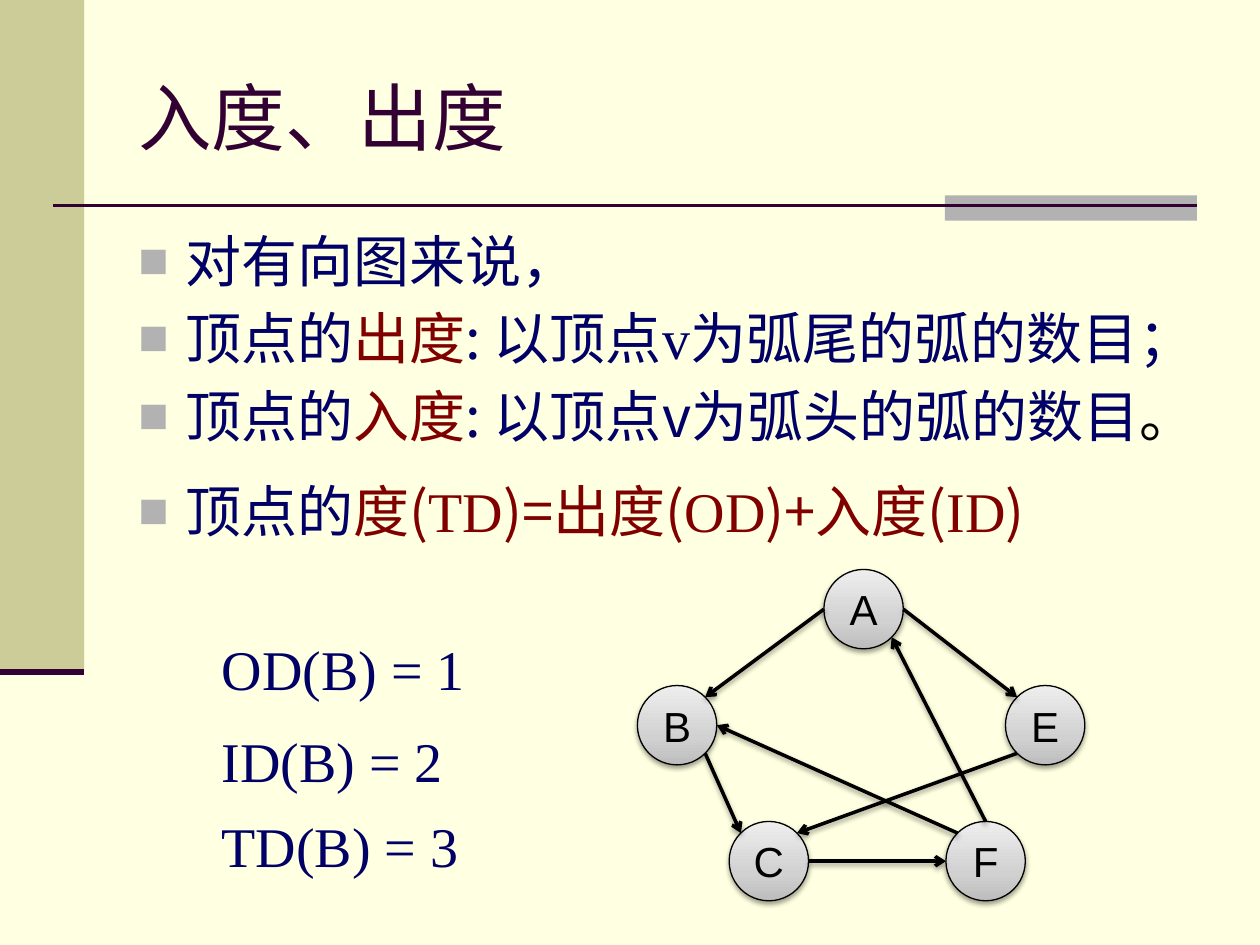
from math import cos, radians, sin

from lxml import etree
from pptx import Presentation
from pptx.dml.color import RGBColor
from pptx.enum.shapes import MSO_CONNECTOR, MSO_SHAPE
from pptx.enum.text import MSO_ANCHOR, MSO_AUTO_SIZE, PP_ALIGN
from pptx.oxml.ns import qn
from pptx.util import Cm, Pt

RECT, OVAL = MSO_SHAPE.RECTANGLE, MSO_SHAPE.OVAL
STRAIGHT = MSO_CONNECTOR.STRAIGHT
MIDDLE, CENTER = MSO_ANCHOR.MIDDLE, PP_ALIGN.CENTER
FIT_SHAPE = MSO_AUTO_SIZE.SHAPE_TO_FIT_TEXT

CJK, SERIF, SANS = "Noto Sans CJK SC", "Times New Roman", "Arial"
NAVY, RED, PLUM, BLACK = "000066", "800000", "330033", "000000"
GREY = "B2B2B2"

# Each bullet: line height in points, then runs of text, colour, font
BULLETS = [
    (38, [("对有向图来说，", NAVY, CJK)]),
    (38, [("顶点的", NAVY, CJK), ("出度", RED, CJK), (": 以顶点", NAVY, CJK),
          ("v", NAVY, SERIF), ("为弧尾的弧的数目；", NAVY, CJK)]),
    (38, [("顶点的", NAVY, CJK), ("入度", RED, CJK),
          (": 以顶点v为弧头的弧的数目", NAVY, CJK), ("。", BLACK, CJK)]),
    (48, [("顶点的", NAVY, CJK), ("度(", RED, CJK), ("TD", RED, SERIF),
          (")=出度(", RED, CJK), ("OD", RED, SERIF), (")+入度(", RED, CJK),
          ("ID", RED, SERIF), (")", RED, CJK)]),
]
DEGREES = [("OD(B) = 1", 0), ("ID(B) = 2", 1.85), ("TD(B) = 3", 3.56)]

# Graph: node offsets in cm; arcs leave and arrive at clockwise angles
DIAMETER = 1.6
NODES = {"A": (3.76, 0), "B": (0, 2.34), "C": (1.85, 5.08),
         "E": (7.42, 2.34), "F": (6.22, 5.08)}
ARCS = [("A", 180, "B", 315), ("A", 0, "E", 225), ("B", 45, "C", 225),
        ("F", 270, "A", 45), ("E", 135, "C", 315), ("F", 225, "B", 0),
        ("C", 0, "F", 180)]
STOPS = [(0, "BDBDBD"), (35000, "D1D1D1"), (100000, "EEEEEE")]


def rgb(value):
    return RGBColor.from_string(value)


def add_xml(parent, tag, **attrs):
    return etree.SubElement(parent, qn(tag), {k: str(v) for k, v in attrs.items()})


def set_font(font, name, color, size=None):
    font.color.rgb = rgb(color)
    font.name = name
    if size:
        font.size = Pt(size)
    add_xml(font._element, "a:ea", typeface=CJK)


def add_shadow(effects):
    shadow = add_xml(effects, "a:outerShdw", blurRad=Pt(3.1), dist=Pt(1.6),
                     dir=5400000, rotWithShape=0)
    color = add_xml(shadow, "a:srgbClr", val=BLACK)
    add_xml(color, "a:alpha", val=38000)


def add_block(slide, x, y, w, h, color):
    s = slide.shapes.add_shape(RECT, Cm(x), Cm(y), Cm(w), Cm(h))
    s.shadow.inherit = False
    s.fill.solid()
    s.fill.fore_color.rgb = rgb(color)
    s.line.fill.background()


def add_line(slide, start, end, color, width):
    s = slide.shapes.add_connector(STRAIGHT, *(Cm(v) for v in (*start, *end)))
    s.line.color.rgb = rgb(color)
    s.line.width = Pt(width)
    return s, add_xml(s._element.spPr, "a:effectLst")


def add_text(slide, x, y, w, h):
    s = slide.shapes.add_textbox(Cm(x), Cm(y), Cm(w), Cm(h))
    s.text_frame.word_wrap = True
    return s.text_frame


def add_decoration(slide):
    add_block(slide, 0, 0, 1.7, 13.54, "CCCC99")
    add_block(slide, 19.05, 3.94, 5.08, 0.51, GREY)
    add_line(slide, (1.07, 4.14), (24.13, 4.14), PLUM, 1.5)
    add_line(slide, (0, 13.54), (1.7, 13.54), PLUM, 3.5)


def add_title(slide, x, y, w, h):
    tf = add_text(slide, x, y, w, h)
    tf.vertical_anchor = MIDDLE
    p = tf.paragraphs[0]
    p.text = "入度、出度"
    set_font(p.runs[0].font, SANS, PLUM, 42)


def add_bullets(slide, x, y, w, h):
    tf = add_text(slide, x, y, w, h)
    tf.margin_right = 0
    for i, (height, runs) in enumerate(BULLETS):
        p = tf.add_paragraph() if i else tf.paragraphs[0]
        p.line_spacing = Pt(height)
        p.space_before = Pt(6.4)
        pPr = p._p.get_or_add_pPr()
        pPr.set("marL", str(Cm(0.95)))
        pPr.set("indent", str(-Cm(0.95)))
        add_xml(add_xml(pPr, "a:buClr"), "a:srgbClr", val=GREY)
        add_xml(pPr, "a:buSzPct", val=90000)
        add_xml(pPr, "a:buFont", typeface=SANS)
        add_xml(pPr, "a:buChar", char="■")
        for text, color, name in runs:
            r = p.add_run()
            r.text = text
            set_font(r.font, name, color, 32)


def add_degrees(slide, x, y, w, h):
    for text, offset in DEGREES:
        tf = add_text(slide, x, y + offset, w, h)
        tf.auto_size = FIT_SHAPE
        p = tf.paragraphs[0]
        p.text = text
        set_font(p.font, SERIF, NAVY, 32)


def add_node(slide, x, y, name):
    s = slide.shapes.add_shape(OVAL, Cm(x), Cm(y), Cm(DIAMETER), Cm(DIAMETER))
    s.fill.gradient()
    s.fill.gradient_angle = 90
    stops = s._element.spPr.find(".//" + qn("a:gsLst"))
    stops[:] = []
    for pos, color in STOPS:
        add_xml(add_xml(stops, "a:gs", pos=pos), "a:srgbClr", val=color)
    s.line.color.rgb = rgb(BLACK)
    s.line.width = Pt(0.75)
    s.shadow.inherit = False
    add_shadow(s._element.spPr.find(qn("a:effectLst")))
    tf = s.text_frame
    tf.margin_left = tf.margin_right = tf.margin_top = tf.margin_bottom = 0
    tf.word_wrap = False
    tf.vertical_anchor = MIDDLE
    p = tf.paragraphs[0]
    p.text = name
    p.alignment = CENTER
    set_font(p.font, SANS, BLACK, 24)


def add_graph(slide, x, y):
    def rim(name, angle):
        left, top = NODES[name]
        radius = DIAMETER / 2
        return (x + left + radius * (1 + cos(radians(angle))),
                y + top + radius * (1 + sin(radians(angle))))

    for name, (left, top) in NODES.items():
        add_node(slide, x + left, y + top, name)
    for tail, leave, head, arrive in ARCS:
        s, effects = add_line(slide, rim(tail, leave), rim(head, arrive), BLACK, 2)
        add_xml(s.line._get_or_add_ln(), "a:tailEnd", type="arrow")
        add_shadow(effects)


def main():
    prs = Presentation()
    prs.slide_width, prs.slide_height = Cm(25.4), Cm(19.05)
    slide = prs.slides.add_slide(prs.slide_layouts[6])
    slide.background.fill.solid()
    slide.background.fill.fore_color.rgb = rgb("FFFFE1")
    add_decoration(slide)
    add_title(slide, 2.54, 0.76, 21.59, 3.18)
    add_bullets(slide, 2.54, 4.45, 22.7, 12.57)
    add_graph(slide, 12.85, 11.48)
    add_degrees(slide, 4.22, 12.67, 6.35, 1.63)
    prs.save("out.pptx")


if __name__ == "__main__":
    main()
